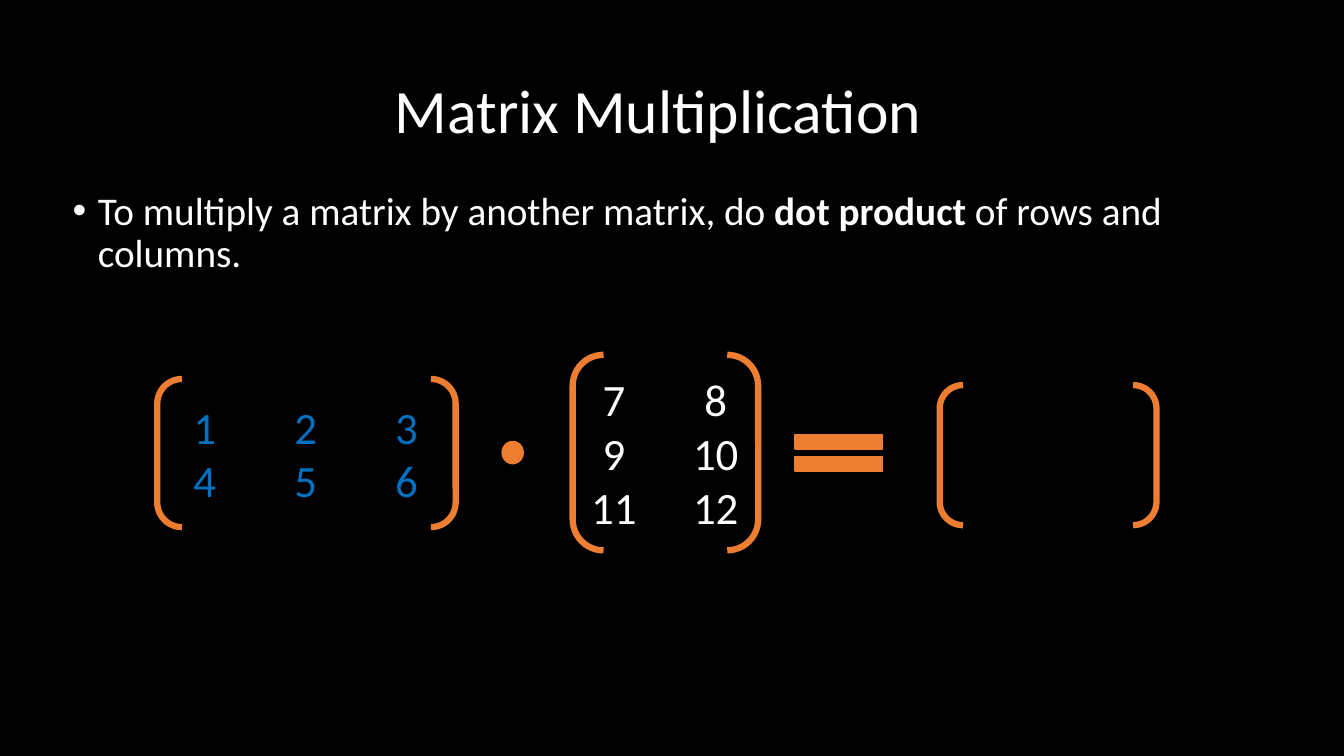
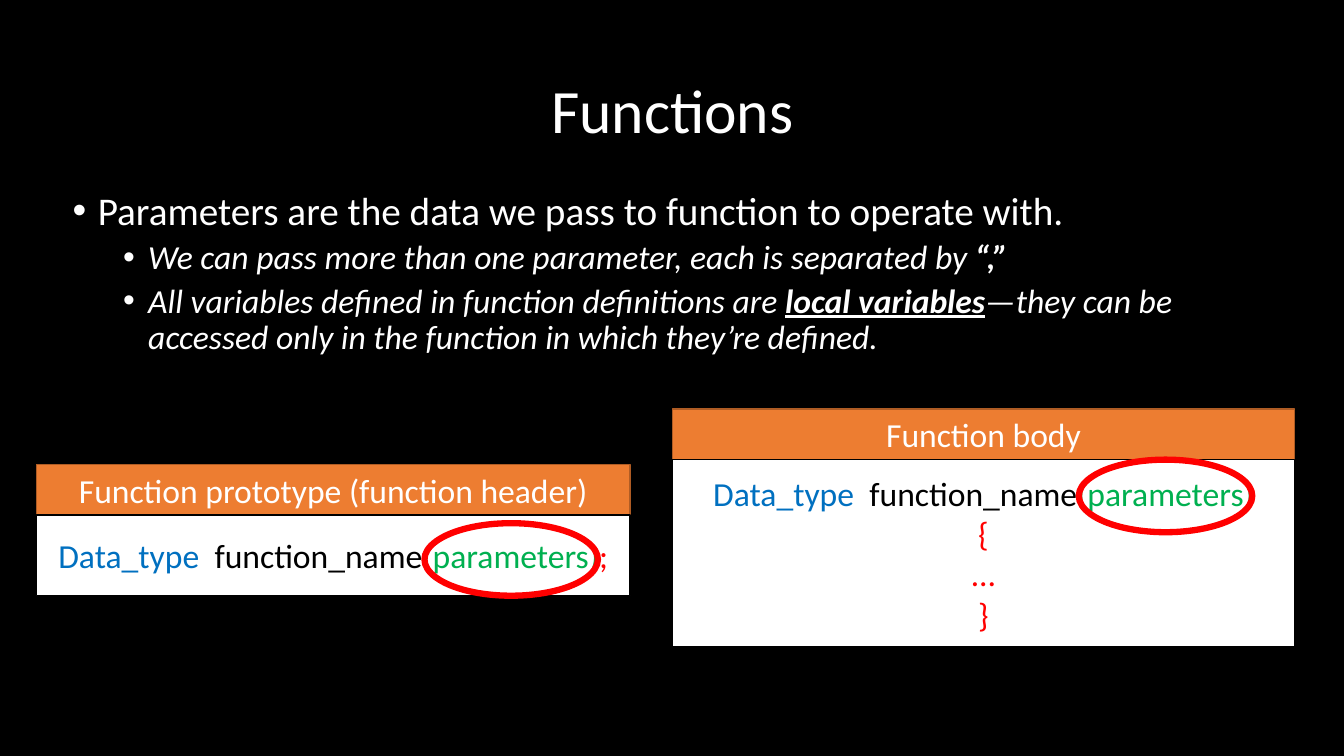
import dataclasses

import pptx
import pptx.dml.color
import pptx.enum.shapes
import pptx.enum.text
import pptx.oxml.ns
import pptx.util
from lxml import etree

Inches = pptx.util.Inches
Pt = pptx.util.Pt
SHAPES = pptx.enum.shapes.MSO_SHAPE
ALIGN = pptx.enum.text.PP_ALIGN
ANCHOR = pptx.enum.text.MSO_ANCHOR


@dataclasses.dataclass(frozen=True)
class Theme:
    font: str = "Calibri"
    background: str = "000000"
    light: str = "FFFFFF"
    dark: str = "000000"
    accent: str = "ED7D31"
    accent_edge: str = "AF5C24"
    blue: str = "0070C0"
    green: str = "00B050"
    red: str = "FF0000"
    title: int = 44
    matrix: int = 32
    body: int = 28
    detail: int = 24
    thick: float = 4.5
    thin: float = 1


THEME = Theme()


# Text and paragraph helpers
def rgb(value):
    return pptx.dml.color.RGBColor.from_string(value)


def write(paragraph, text, size=THEME.detail, color=THEME.light, **emphasis):
    """Add one run; emphasis takes bold, italic and underline."""
    run = paragraph.add_run()
    run.text = text
    run.font.name = THEME.font
    run.font.size = Pt(size)
    run.font.color.rgb = rgb(color)
    for key, value in emphasis.items():
        setattr(run.font, key, value)


def fill_frame(frame, lines, align=ALIGN.CENTER, **text_format):
    """Write lines, each a list of (text, own format) runs."""
    paragraphs = []
    for number, runs in enumerate(lines):
        paragraph = frame.paragraphs[0] if number == 0 else frame.add_paragraph()
        paragraph.alignment = align
        for text, own in runs:
            write(paragraph, text, **{**text_format, **own})
        paragraphs.append(paragraph)
    return paragraphs


def add_ppr(paragraph, tag, **attributes):
    properties = paragraph._p.get_or_add_pPr()
    return etree.SubElement(properties, pptx.oxml.ns.qn(tag), attributes)


def set_bullet(paragraph, level):
    paragraph.level = level
    paragraph.line_spacing = 0.9
    paragraph.space_before = Pt(5 if level else 10)
    properties = paragraph._p.get_or_add_pPr()
    properties.set("marL", str(Inches(0.25 + 0.5 * level)))
    properties.set("indent", str(Inches(-0.25)))
    add_ppr(paragraph, "a:buFont", typeface="Arial")
    add_ppr(paragraph, "a:buChar", char="•")


def set_centre_tabs(paragraph, stops):
    tabs = add_ppr(paragraph, "a:tabLst")
    for stop in stops:
        etree.SubElement(tabs, pptx.oxml.ns.qn("a:tab"),
                         {"pos": str(Inches(stop)), "algn": "ctr"})


# Slide parts
def prepare_layout(deck):
    """Set the background and the placeholder places for all slides."""
    background = deck.slide_master.background.fill
    background.solid()
    background.fore_color.rgb = rgb(THEME.background)
    layout = deck.slide_layouts[1]
    places = {0: (0.92, 0.4, 11.5, 1.45), 1: (0.62, 1.85, 11.8, 4.91)}
    for placeholder in layout.placeholders:
        index = placeholder.placeholder_format.idx
        if index in places:
            (placeholder.left, placeholder.top, placeholder.width,
             placeholder.height) = map(Inches, places[index])
    return layout


def add_slide(deck, layout, title, bullets):
    """Bullets are (level, runs) pairs."""
    slide = deck.slides.add_slide(layout)
    heading = slide.shapes.title.text_frame
    heading.vertical_anchor = ANCHOR.MIDDLE
    fill_frame(heading, [[(title, {})]], size=THEME.title)[0].line_spacing = 0.9
    body = slide.placeholders[1].text_frame
    for frame in (heading, body):
        frame.auto_size = pptx.enum.text.MSO_AUTO_SIZE.NONE
    paragraphs = fill_frame(body, [runs for _, runs in bullets], ALIGN.LEFT)
    for paragraph, (level, _) in zip(paragraphs, bullets):
        set_bullet(paragraph, level)
    return slide


def add_figure(slide, kind, place, fill=None, line=THEME.accent, weight=THEME.thin):
    figure = slide.shapes.add_shape(kind, *map(Inches, place))
    figure.shadow.inherit = False
    if fill:
        figure.fill.solid()
        figure.fill.fore_color.rgb = rgb(fill)
    else:
        figure.fill.background()
    figure.line.color.rgb = rgb(line)
    figure.line.width = Pt(weight)
    figure.text_frame.word_wrap = True
    figure.text_frame.vertical_anchor = ANCHOR.MIDDLE
    return figure


def add_matrix(slide, place, rows=(), stops=(), color=THEME.light):
    """Draw brackets around rows whose columns are centred on tab stops."""
    brackets = add_figure(slide, SHAPES.DOUBLE_BRACKET, place, weight=THEME.thick)
    frame = brackets.text_frame
    frame.margin_left = frame.margin_right = 0
    lines = [[("".join(f"\t{value}" for value in row), {})] for row in rows]
    for paragraph in fill_frame(frame, lines, ALIGN.LEFT,
                                size=THEME.matrix, color=color):
        set_centre_tabs(paragraph, stops)


def add_code_card(slide, left, top, width, code_height, heading, code):
    header_height = 0.5
    header = add_figure(slide, SHAPES.RECTANGLE, (left, top, width, header_height),
                        THEME.accent, THEME.accent_edge)
    fill_frame(header.text_frame, [[(heading, {})]])
    panel = add_figure(slide, SHAPES.RECTANGLE,
                       (left, top + header_height, width, code_height),
                       THEME.light, THEME.dark)
    fill_frame(panel.text_frame, code, color=THEME.red)


# Slides
def build_multiplication(deck, layout):
    slide = add_slide(deck, layout, "Matrix Multiplication", [
        (0, [("To multiply a matrix by another matrix, do ", {"size": THEME.body}),
             ("dot product", {"size": THEME.body, "bold": True}),
             (" of rows and columns.", {"size": THEME.body})]),
    ])
    slide.shapes.title.text_frame.margin_right = Inches(0.38)

    add_matrix(slide, (1.56, 3.76, 2.96, 1.47), [(1, 2, 3), (4, 5, 6)],
               (0.4, 1.4, 2.4), THEME.blue)
    add_figure(slide, SHAPES.OVAL, (4.98, 4.38, 0.21, 0.22), THEME.accent)
    add_matrix(slide, (5.68, 3.52, 1.84, 1.94), [(7, 8), (9, 10), (11, 12)],
               (0.32, 1.33))
    add_figure(slide, SHAPES.MATH_EQUAL, (7.73, 4.18, 1.18, 0.62), THEME.accent)
    add_matrix(slide, (9.32, 3.82, 2.15, 1.39))


def build_functions(deck, layout):
    italic = {"italic": True}
    strong = {"italic": True, "bold": True}
    slide = add_slide(deck, layout, "Functions", [
        (0, [("Parameters are the data we pass to function to operate with.",
              {"size": THEME.body})]),
        (1, [("We can pass more than one parameter, each is separated by ", italic),
             ("“,”", strong)]),
        (1, [("All variables defined in function definitions are ", italic),
             ("local variables", {**strong, "underline": True}),
             ("—they can be accessed only in the function in which "
              "they’re defined.", italic)]),
    ])

    signature = [("Data_type  ", {"color": THEME.blue}),
                 ("function_name", {"color": THEME.dark}),
                 ("(parameters)", {"color": THEME.green})]
    add_code_card(slide, 0.36, 4.61, 5.89, 0.8,
                  "Function prototype (function header)", [signature + [(";", {})]])
    add_code_card(slide, 6.67, 4.06, 6.17, 1.86, "Function body",
                  [signature] + [[(mark, {})] for mark in "{…}"])

    # Rings around the parameters
    for left, top in ((4.21, 5.19), (10.7, 4.56)):
        add_figure(slide, SHAPES.OVAL, (left, top, 1.72, 0.72),
                   line=THEME.red, weight=THEME.thick)


def main():
    deck = pptx.Presentation()
    deck.slide_width, deck.slide_height = Inches(13.33), Inches(7.5)
    layout = prepare_layout(deck)
    build_multiplication(deck, layout)
    build_functions(deck, layout)
    deck.save("out.pptx")


if __name__ == "__main__":
    main()
